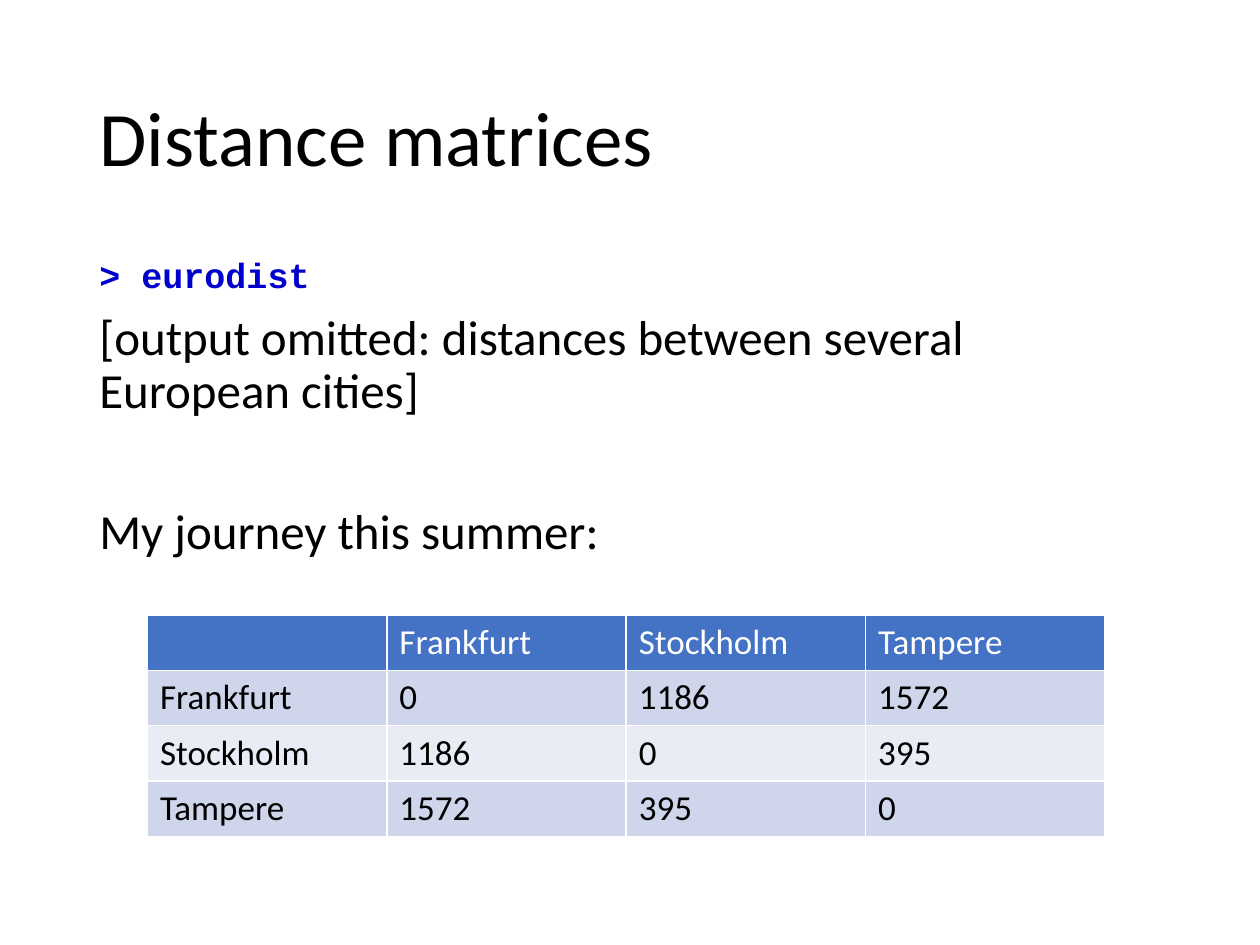
"""Build the slide on distance matrices with its table of city distances."""
from dataclasses import dataclass

import pptx
import pptx.dml.color
import pptx.enum.text
import pptx.oxml
import pptx.oxml.ns
import pptx.util
from pptx.util import Inches

RGBColor = pptx.dml.color.RGBColor
BLACK = RGBColor(0x00, 0x00, 0x00)
WHITE = RGBColor(0xFF, 0xFF, 0xFF)
CODE_BLUE = RGBColor(0x00, 0x00, 0xCC)
HEADER_BLUE = RGBColor(0x44, 0x72, 0xC4)
BANDS = (RGBColor(0xCF, 0xD5, 0xEA), RGBColor(0xE9, 0xEB, 0xF5))

CITIES = ("Frankfurt", "Stockholm", "Tampere")
DISTANCES = ((0, 1186, 1572), (1186, 0, 395), (1572, 395, 0))


@dataclass(frozen=True)
class Passage:
    """A paragraph of the body and its format."""
    text: str
    size: float = 28
    font: str = "Calibri"
    color: RGBColor = BLACK
    bold: bool = False
    before: float = 10


PASSAGES = (
    Passage("> eurodist", size=20, font="Courier New", color=CODE_BLUE, bold=True),
    Passage("[output omitted: distances between several European cities]"),
    Passage("My journey this summer:", before=50),
)


def write(paragraph, text: str, *, size: float, font: str = "Calibri",
          color: RGBColor = BLACK, bold: bool = False,
          before: float = 0, spacing: float = 1.0) -> None:
    """Write formatted, left-aligned text into a paragraph."""
    paragraph.alignment = pptx.enum.text.PP_ALIGN.LEFT
    paragraph.line_spacing = spacing
    paragraph.space_before = pptx.util.Pt(before)
    run = paragraph.add_run()
    run.text = text
    run.font.size = pptx.util.Pt(size)
    run.font.name = font
    run.font.bold = bold
    run.font.color.rgb = color


def add_title(slide, text: str) -> None:
    """Place and fill the title placeholder."""
    title = slide.shapes.title
    title.left, title.top = Inches(0.69), Inches(0.4)
    title.width, title.height = Inches(8.62), Inches(1.45)
    frame = title.text_frame
    frame.auto_size = pptx.enum.text.MSO_AUTO_SIZE.NONE
    frame.vertical_anchor = pptx.enum.text.MSO_ANCHOR.MIDDLE
    write(frame.paragraphs[0], text, size=44, spacing=0.9)


def add_body(slide, passages: tuple[Passage, ...]) -> None:
    """Add the running text below the title."""
    body = slide.shapes.add_textbox(Inches(0.69), Inches(2), Inches(8.62), Inches(4.76))
    frame = body.text_frame
    frame.word_wrap = True
    for index, passage in enumerate(passages):
        paragraph = frame.add_paragraph() if index else frame.paragraphs[0]
        write(paragraph, passage.text, size=passage.size, font=passage.font,
              color=passage.color, bold=passage.bold, before=passage.before, spacing=0.9)


def style_cell(cell, fill: RGBColor) -> None:
    """Give a cell thin white borders and a solid fill."""
    properties = cell._tc.get_or_add_tcPr()
    for side in ("lnL", "lnR", "lnT", "lnB"):
        properties.append(pptx.oxml.parse_xml(
            f'<a:{side} {pptx.oxml.ns.nsdecls("a")} w="{pptx.util.Pt(1)}">'
            f'<a:solidFill><a:srgbClr val="{WHITE}"/></a:solidFill></a:{side}>'))
    cell.fill.solid()
    cell.fill.fore_color.rgb = fill


def add_distance_table(slide) -> None:
    """Add the matrix of distances between the cities."""
    rows = [("", *CITIES)]
    rows += [(city, *distances) for city, distances in zip(CITIES, DISTANCES)]
    column_width, row_height = Inches(1.9), Inches(0.44)
    table = slide.shapes.add_table(
        len(rows), len(rows[0]), Inches(1.17), Inches(4.88),
        column_width * len(rows[0]), row_height * len(rows)).table
    for row_index, values in enumerate(rows):
        fill = BANDS[(row_index - 1) % 2] if row_index else HEADER_BLUE
        color = BLACK if row_index else WHITE
        for column_index, value in enumerate(values):
            cell = table.cell(row_index, column_index)
            style_cell(cell, fill)
            if value != "":
                write(cell.text_frame.paragraphs[0], str(value), size=20, color=color)


def main() -> None:
    """Build and save the presentation."""
    presentation = pptx.Presentation()
    presentation.slide_width, presentation.slide_height = Inches(10), Inches(7.5)
    slide = presentation.slides.add_slide(presentation.slide_layouts.get_by_name("Title Only"))
    add_title(slide, "Distance matrices")
    add_body(slide, PASSAGES)
    add_distance_table(slide)
    presentation.save("out.pptx")


main()
